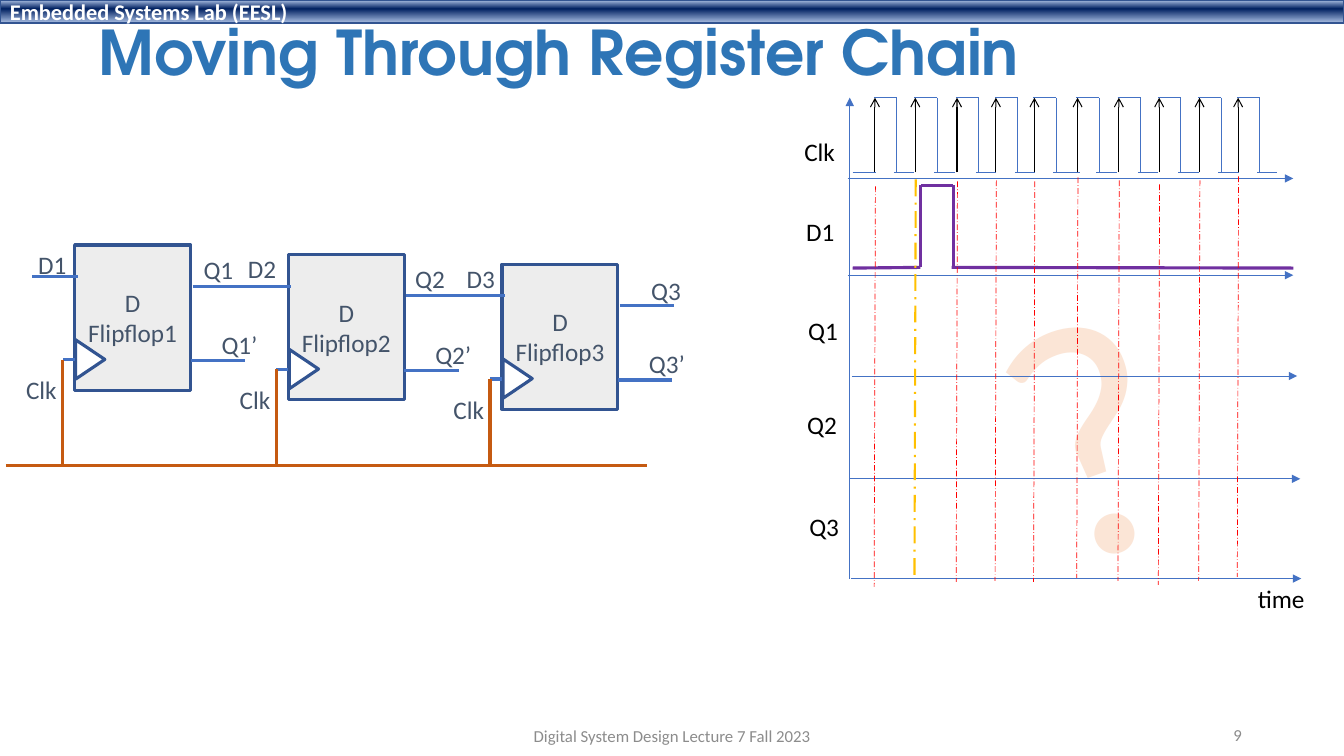
"""Build the register chain slide with its flip-flops and timing diagram."""
from dataclasses import dataclass
from typing import NamedTuple

from lxml.etree import SubElement
from pptx import Presentation
from pptx.dml.color import RGBColor
from pptx.enum.dml import MSO_LINE
from pptx.enum.shapes import MSO_CONNECTOR, MSO_SHAPE
from pptx.enum.text import MSO_ANCHOR, PP_ALIGN
from pptx.oxml import parse_xml
from pptx.oxml.ns import nsdecls, qn
from pptx.util import Pt


class TextStyle(NamedTuple):
    size: float
    color: str
    bold: bool = False
    font: str = "Calibri"
    align: PP_ALIGN = PP_ALIGN.LEFT
    anchor: MSO_ANCHOR = MSO_ANCHOR.TOP
    wrap: bool = False
    spacing: float = 1.0


class Stroke(NamedTuple):
    color: str
    width: float
    arrow: str = ""
    dashed: bool = False


@dataclass(frozen=True)
class Theme:
    paper: str = "FFFFFF"
    box_fill: str = "EDEDED"
    band_top: str = "ABC0E4"
    band_middle: str = "002060"
    band_bottom: str = "ACC1E5"
    outline: Stroke = Stroke("325491", 2.25)
    header_line: Stroke = Stroke("325491", 1)
    wire: Stroke = Stroke("4472C4", 2.25)
    clock_wire: Stroke = Stroke("C55A11", 2.25)
    pulse: Stroke = Stroke("7030A0", 2.25)
    wave: Stroke = Stroke("4472C4", 0.5)
    rise: Stroke = Stroke("000000", 0.75, "arrow")
    axis: Stroke = Stroke("4472C4", 0.5, "triangle")
    sample: Stroke = Stroke("FF0000", 0.5, dashed=True)
    active_sample: Stroke = Stroke("FFC000", 1.5, dashed=True)
    header: TextStyle = TextStyle(16, "FFFFFF", True, anchor=MSO_ANCHOR.MIDDLE, wrap=True)
    title: TextStyle = TextStyle(44, "2E75B6", True, "TeX Gyre Adventor",
                                 anchor=MSO_ANCHOR.MIDDLE, wrap=True, spacing=0.9)
    question: TextStyle = TextStyle(239, "FBE5D6", wrap=True)
    signal: TextStyle = TextStyle(18, "000000")
    pin: TextStyle = TextStyle(18, "44546A")
    block: TextStyle = TextStyle(18, "44546A", align=PP_ALIGN.CENTER,
                                 anchor=MSO_ANCHOR.MIDDLE, wrap=True)
    footer: TextStyle = TextStyle(12, "8C8C8C", align=PP_ALIGN.CENTER,
                                  anchor=MSO_ANCHOR.MIDDLE, wrap=True)
    number: TextStyle = TextStyle(12, "8C8C8C", align=PP_ALIGN.RIGHT,
                                  anchor=MSO_ANCHOR.MIDDLE, wrap=True)


class Stage(NamedTuple):
    number: int
    data_pin: tuple[float, float]
    output_pin: tuple[float, float]


class Edge(NamedTuple):
    left: float
    sample_top: float


class Label(NamedTuple):
    text: str
    left: float
    top: float
    width: float


THEME = Theme()
STAGES = [Stage(1, (-33.1, -0.7), (85, 2.9)), Stage(2, (-36, -4.3), (83.5, 2.9)),
          Stage(3, (-32.4, -4.3), (99.4, 4.3))]
EDGES = [Edge(625, 133.2), Edge(653.8, 128.2), Edge(683.6, 129.6), Edge(711.4, 128.9),
         Edge(738.9, 129.6), Edge(769.7, 126.7), Edge(799.2, 128.9), Edge(828, 131.8),
         Edge(856.8, 128.9), Edge(884.4, 126)]
ACTIVE_EDGE = EDGES[1]
AXES = [(605.5, 127.5, 923.8, 127.5), (605.5, 196.6, 923.8, 196.6),
        (608.4, 268.6, 926.6, 268.6), (607, 342, 928.8, 342),
        (607, 413.3, 607, 69.8), (607.7, 413.3, 929.5, 413.3)]
PULSE = [(609.1, 191.5, 657.4, 191), (657.4, 191, 657.4, 132.5), (658, 132.5, 680.4, 132.5),
         (681.1, 132.5, 681.1, 191), (679.7, 191, 923.8, 191.5)]
SIGNALS = [Label("Clk", 567.4, 93.6, 36.7), Label("D1", 568.8, 151.2, 35.3),
           Label("Q1", 570.2, 221.8, 36), Label("Q2", 569.5, 288.7, 36),
           Label("Q3", 571, 361.4, 36), Label("time", 891.4, 413.3, 48.2)]
BLOCK_LEFT, BLOCK_TOP, BLOCK_WIDTH, BLOCK_HEIGHT = 53.3, 175, 82.8, 103.7
STAGE_STEP, STAGE_DROP = 152.64, 6.85
CLOCK_BUS, CLOCK_HIGH, CLOCK_LOW = 332.6, 69.8, 123.1
LABEL_HEIGHT = 28.8


def set_text(box, text: str, style: TextStyle) -> None:
    """Put one styled paragraph into a shape."""
    frame = box.text_frame
    frame.text = text
    frame.word_wrap = style.wrap
    frame.vertical_anchor = style.anchor
    para = frame.paragraphs[0]
    para.alignment = style.align
    para.line_spacing = style.spacing
    for span in para.runs:
        span.font.name = style.font
        span.font.size = Pt(style.size)
        span.font.bold = style.bold
        span.font.color.rgb = RGBColor.from_string(style.color)


def add_text(shapes, text: str, left: float, top: float, width: float,
             height: float, style: TextStyle):
    """Add a text box and return it."""
    box = shapes.add_textbox(Pt(left), Pt(top), Pt(width), Pt(height))
    set_text(box, text, style)
    return box


def add_block(shapes, kind: MSO_SHAPE, left: float, top: float, width: float,
              height: float, fill: str, stroke: Stroke):
    """Add a filled, outlined preset shape and return it."""
    box = shapes.add_shape(kind, Pt(left), Pt(top), Pt(width), Pt(height))
    box.shadow.inherit = False
    box.fill.solid()
    box.fill.fore_color.rgb = RGBColor.from_string(fill)
    box.line.color.rgb = RGBColor.from_string(stroke.color)
    box.line.width = Pt(stroke.width)
    return box


def add_line(shapes, left: float, top: float, right: float, bottom: float,
             stroke: Stroke) -> None:
    """Draw a straight line, with an arrowhead at its end if asked for."""
    line = shapes.add_connector(MSO_CONNECTOR.STRAIGHT, Pt(left), Pt(top), Pt(right), Pt(bottom))
    line.line.color.rgb = RGBColor.from_string(stroke.color)
    line.line.width = Pt(stroke.width)
    if stroke.dashed:
        line.line.dash_style = MSO_LINE.LONG_DASH_DOT
    properties = line._element.spPr
    if stroke.arrow:
        SubElement(properties.find(qn("a:ln")), qn("a:tailEnd"), type=stroke.arrow)
    SubElement(properties, qn("a:effectLst"))


def draw_header(shapes) -> None:
    """Draw the gradient band across the top."""
    band = add_block(shapes, MSO_SHAPE.RECTANGLE, 0, 0, 960, 16.6,
                     THEME.band_middle, THEME.header_line)
    stops = "".join(f'<a:gs pos="{place}"><a:srgbClr val="{color}"/></a:gs>' for place, color in
                    [(0, THEME.band_top), (38000, THEME.band_middle), (100000, THEME.band_bottom)])
    properties = band._element.spPr
    properties.replace(properties.find(qn("a:solidFill")), parse_xml(
        f'<a:gradFill {nsdecls("a")} rotWithShape="1"><a:gsLst>{stops}</a:gsLst>'
        '<a:lin ang="5400000" scaled="0"/></a:gradFill>'))
    set_text(band, "Embedded Systems Lab (EESL)", THEME.header)


def draw_stage(page, stage: Stage) -> None:
    """Draw one flip-flop with its pins and its clock branch."""
    shapes = page.shapes.add_group_shape().shapes
    left = BLOCK_LEFT + STAGE_STEP * (stage.number - 1)
    top = BLOCK_TOP + STAGE_DROP * (stage.number - 1)
    block = add_block(shapes, MSO_SHAPE.RECTANGLE, left, top, BLOCK_WIDTH, BLOCK_HEIGHT,
                      THEME.box_fill, THEME.outline)
    set_text(block, f"D Flipflop{stage.number}", THEME.block)
    notch = add_block(shapes, MSO_SHAPE.ISOSCELES_TRIANGLE, left - 2.9, top + 71.3, 28.1, 20.9,
                      THEME.paper, THEME.outline)
    notch.rotation = 90
    for start, end, height in [(0, -8.6, 82), (-30.2, 2.2, 22.5),
                               (84.3, 123, 29.5), (82.8, 121.7, 82.8)]:
        add_line(shapes, left + start, top + height, left + end, top + height, THEME.wire)
    for pin in [Label("Clk", -41.8, 89.1, 36.7), Label(f"D{stage.number}", *stage.data_pin, 35.3),
                Label(f"Q{stage.number}", *stage.output_pin, 36),
                Label(f"Q{stage.number}’", 97.9, 56.9, 40.3)]:
        add_text(shapes, pin.text, left + pin.left, top + pin.top, pin.width,
                 LABEL_HEIGHT, THEME.pin)
    add_line(shapes, left - 8.6, top + 82, left - 8.6, CLOCK_BUS, THEME.clock_wire)


def draw_clock(page) -> None:
    """Draw the clock wave with an arrow on each rising edge."""
    shapes = page.shapes.add_group_shape().shapes
    for lead in (609.1, 754.6):
        add_line(shapes, lead, CLOCK_LOW, lead + 16.6, CLOCK_LOW, THEME.wave)
    for edge in EDGES:
        fall = edge.left + 15.5
        add_line(shapes, edge.left, CLOCK_LOW, edge.left, CLOCK_HIGH, THEME.rise)
        add_line(shapes, edge.left - 0.8, CLOCK_HIGH, fall, CLOCK_HIGH, THEME.wave)
        add_line(shapes, fall, CLOCK_HIGH, fall, CLOCK_LOW, THEME.wave)
        add_line(shapes, fall - 2, CLOCK_LOW, fall + 12.6, CLOCK_LOW, THEME.wave)


def draw_timing(page) -> None:
    """Draw the timing diagram."""
    for segment in PULSE:
        add_line(page.shapes, *segment, THEME.pulse)
    draw_clock(page)
    for axis in AXES:
        add_line(page.shapes, *axis, THEME.axis)
    for edge in EDGES:
        stroke = THEME.active_sample if edge == ACTIVE_EDGE else THEME.sample
        add_line(page.shapes, edge.left + 0.3, edge.sample_top,
                 edge.left - 0.6, edge.sample_top + 286, stroke)
    for label in SIGNALS:
        add_text(page.shapes, *label, LABEL_HEIGHT, THEME.signal)


def main() -> None:
    """Assemble and save the slide."""
    deck = Presentation()
    deck.slide_width, deck.slide_height = Pt(960), Pt(540)
    page = deck.slides.add_slide(deck.slide_layouts[6])
    draw_header(page.shapes)
    question = add_text(page.shapes, "?", 712.8, 153.4, 128.2, 296.6, THEME.question)
    question.rotation = 340.4
    for stage in STAGES:
        draw_stage(page, stage)
    add_line(page.shapes, 4.3, CLOCK_BUS, 462.5, CLOCK_BUS, THEME.clock_wire)
    draw_timing(page)
    add_text(page.shapes, "9", 678.2, 510.5, 216, 28.8, THEME.number)
    add_text(page.shapes, "Digital System Design Lecture 7 Fall 2023",
             318.2, 511.2, 324, 28.8, THEME.footer)
    add_text(page.shapes, "Moving Through Register Chain", 63.4, 3.6, 747.4, 72.7, THEME.title)
    deck.save("out.pptx")


if __name__ == "__main__":
    main()
